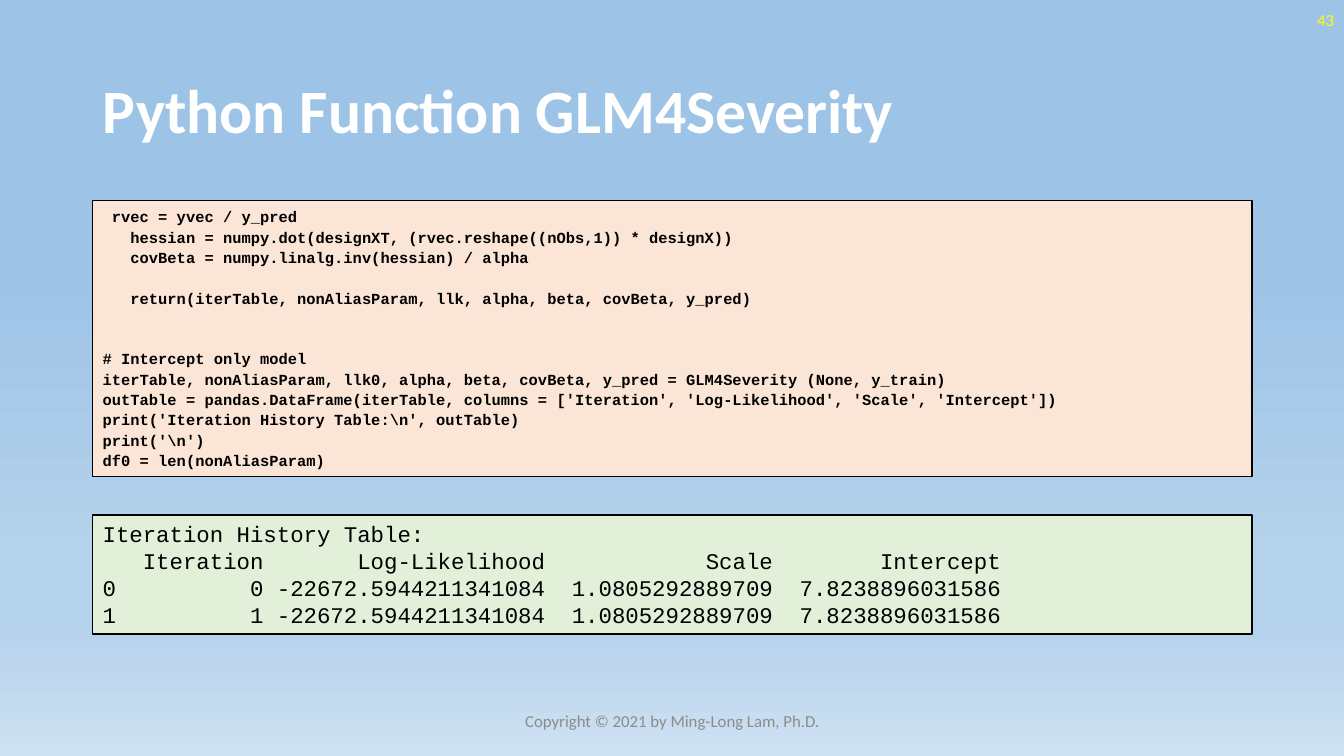
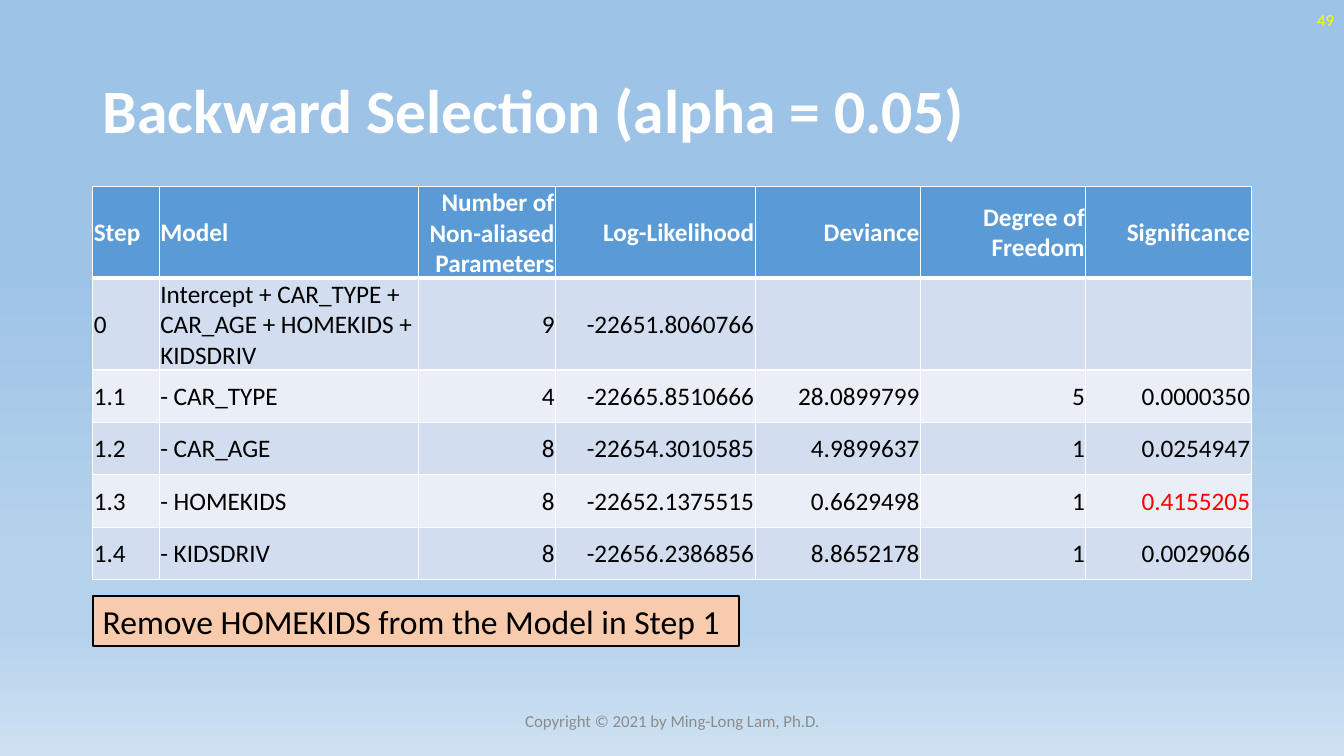
from copy import deepcopy
from dataclasses import dataclass

from lxml.etree import SubElement
from pptx import Presentation
from pptx.dml.color import RGBColor
from pptx.enum.shapes import MSO_SHAPE
from pptx.enum.text import MSO_ANCHOR, MSO_AUTO_SIZE, PP_ALIGN
from pptx.oxml.ns import qn
from pptx.util import Inches, Pt


# Theme: all colours, fonts and type sizes
@dataclass(frozen=True)
class Theme:
    sans: str = "Calibri"
    mono: str = "Courier New"
    white: str = "FFFFFF"
    black: str = "000000"
    red: str = "FF0000"
    yellow: str = "FFFF00"
    grey: str = "8C8C8C"
    peach: str = "FBE5D6"
    green: str = "E2F0D9"
    orange: str = "F8CBAD"
    head: str = "5B9BD5"
    bands: tuple = ("D2DEEF", "EAEFF7")
    sky: tuple = ((35, "9DC3E6"), (74, "B5D2EC"), (83, "B5D2EC"), (100, "CEE1F2"))
    title: float = 44
    note: float = 24
    cell: float = 18
    print: float = 16
    small: float = 12
    code: float = 11


T = Theme()
LEFT, WIDE = 0.92, 11.5
CODE_STEP = 14.5  # points from one code line to the next

CODE = r"""
 rvec = yvec / y_pred
   hessian = numpy.dot(designXT, (rvec.reshape((nObs,1)) * designX))
   covBeta = numpy.linalg.inv(hessian) / alpha

   return(iterTable, nonAliasParam, llk, alpha, beta, covBeta, y_pred)


# Intercept only model
iterTable, nonAliasParam, llk0, alpha, beta, covBeta, y_pred = GLM4Severity (None, y_train)
outTable = pandas.DataFrame(iterTable, columns = ['Iteration', 'Log-Likelihood', 'Scale', 'Intercept'])
print('Iteration History Table:\n', outTable)
print('\n')
df0 = len(nonAliasParam)
""".strip("\n")

OUTPUT = """
Iteration History Table:
   Iteration       Log-Likelihood            Scale        Intercept
0          0 -22672.5944211341084  1.0805292889709  7.8238896031586
1          1 -22672.5944211341084  1.0805292889709  7.8238896031586
""".strip("\n")

COLS = (0.66, 2.57, 1.36, 1.98, 1.64, 1.64, 1.64)
ROWS = (0.91, 0.85, 0.52, 0.52, 0.52, 0.52)
STEPS = (
    ("Step", "Model", "Number of Non-aliased Parameters", "Log-Likelihood",
     "Deviance", "Degree of Freedom", "Significance"),
    ("0", "Intercept + CAR_TYPE + CAR_AGE + HOMEKIDS + KIDSDRIV", "9",
     "-22651.8060766", "", "", ""),
    ("1.1", "- CAR_TYPE", "4", "-22665.8510666", "28.0899799", "5", "0.0000350"),
    ("1.2", "- CAR_AGE", "8", "-22654.3010585", "4.9899637", "1", "0.0254947"),
    ("1.3", "- HOMEKIDS", "8", "-22652.1375515", "0.6629498", "1", "0.4155205"),
    ("1.4", "- KIDSDRIV", "8", "-22656.2386856", "8.8652178", "1", "0.0029066"),
)
WORST = (4, 6)  # row and column of the least significant term


def rgb(code):
    return RGBColor.from_string(code)


def write(para, text, size, color, font=T.sans, bold=False, align=PP_ALIGN.LEFT):
    para.alignment = align
    run = para.add_run()
    run.text = text
    run.font.name, run.font.size, run.font.bold = font, Pt(size), bold
    run.font.color.rgb = rgb(color)


def place(shape, box):
    shape.left, shape.top, shape.width, shape.height = map(Inches, box)


# Shared parts: sky, title, page number, footer
def paint_sky(master):
    fill = master.background.fill
    fill.gradient()
    fill.gradient_angle = 270
    stops = next(master.element.cSld.iter(qn("a:gsLst")))
    model = deepcopy(stops[0])
    for old in list(stops):
        stops.remove(old)
    for spot, color in T.sky:
        stop = deepcopy(model)
        stop.set("pos", str(spot * 1000))
        for child in list(stop):
            stop.remove(child)
        SubElement(stop, qn("a:srgbClr")).set("val", color)
        stops.append(stop)


def add_label(slide, box, text, color, align):
    frame = slide.shapes.add_textbox(*map(Inches, box)).text_frame
    frame.word_wrap = True
    frame.vertical_anchor = MSO_ANCHOR.MIDDLE
    write(frame.paragraphs[0], text, T.small, color, align=align)


def add_page(deck, title, number):
    slide = deck.slides.add_slide(deck.slide_layouts[5])
    head = slide.shapes.title
    place(head, (LEFT, 0.4, WIDE, 1.45))
    frame = head.text_frame
    frame.auto_size = MSO_AUTO_SIZE.NONE
    frame.vertical_anchor = MSO_ANCHOR.MIDDLE
    para = frame.paragraphs[0]
    para.line_spacing = 0.9
    write(para, title, T.title, T.white, bold=True)
    add_label(slide, (10.33, 0, 3, 0.4), number, T.yellow, PP_ALIGN.RIGHT)
    add_label(slide, (4.42, 6.95, 4.5, 0.4),
              "Copyright © 2021 by Ming-Long Lam, Ph.D.", T.grey, PP_ALIGN.CENTER)
    return slide


# Framed panel; an empty line becomes space before the next one
def add_panel(slide, box, text, fill, size, font=T.sans, bold=False,
              line=1, space=1.0):
    panel = slide.shapes.add_shape(MSO_SHAPE.RECTANGLE, *map(Inches, box))
    panel.shadow.inherit = False
    panel.fill.solid()
    panel.fill.fore_color.rgb = rgb(fill)
    panel.line.color.rgb = rgb(T.black)
    panel.line.width = Pt(line)
    frame = panel.text_frame
    frame.word_wrap = True
    frame.vertical_anchor = MSO_ANCHOR.TOP
    para, gap = frame.paragraphs[0], 0
    for row, words in enumerate(text.split("\n")):
        if not words:
            gap += CODE_STEP
            continue
        if row:
            para = frame.add_paragraph()
        para.line_spacing = space
        if gap:
            para.space_before = Pt(gap)
        write(para, words, size, T.black, font, bold)
        gap = 0


# Table of selection steps
def add_edges(cell, base):
    props = cell._tc.get_or_add_tcPr()
    for spot, side in enumerate("LRTB"):
        edge = SubElement(props, qn(f"a:ln{side}"))
        edge.set("w", str(Pt(base if side == "B" else 1)))
        fill = SubElement(edge, qn("a:solidFill"))
        SubElement(fill, qn("a:srgbClr")).set("val", T.white)
        props.insert(spot, edge)


def fill_cell(cell, text, row, col):
    head = row == 0
    cell.margin_left = cell.margin_top = cell.margin_right = Inches(0.01)
    cell.margin_bottom = 0
    cell.vertical_anchor = MSO_ANCHOR.MIDDLE
    cell.fill.solid()
    cell.fill.fore_color.rgb = rgb(T.head if head else T.bands[(row - 1) % 2])
    add_edges(cell, 3 if head else 1)
    if text:
        color = T.white if head else T.red if (row, col) == WORST else T.black
        align = PP_ALIGN.LEFT if col < 2 else PP_ALIGN.RIGHT
        write(cell.text_frame.paragraphs[0], text, T.cell, color,
              bold=head, align=align)


def add_steps(slide, left, top):
    box = (left, top, sum(COLS), sum(ROWS))
    grid = slide.shapes.add_table(len(ROWS), len(COLS), *map(Inches, box)).table
    for col, width in zip(grid.columns, COLS):
        col.width = Inches(width)
    for row, height in zip(grid.rows, ROWS):
        row.height = Inches(height)
    for row, texts in enumerate(STEPS):
        for col, text in enumerate(texts):
            fill_cell(grid.cell(row, col), text, row, col)


# Slides
def code_slide(deck):
    slide = add_page(deck, "Python Function GLM4Severity", "43")
    add_panel(slide, (LEFT, 1.99, WIDE, 2.74), CODE, T.peach, T.code,
              T.mono, bold=True, space=1.1)
    add_panel(slide, (LEFT, 5.11, WIDE, 1.18), OUTPUT, T.green, T.print, T.mono)


def table_slide(deck):
    slide = add_page(deck, "Backward Selection (alpha = 0.05)", "49")
    add_steps(slide, LEFT, 1.85)
    add_panel(slide, (LEFT, 5.91, 6.41, 0.5),
              "Remove HOMEKIDS from the Model in Step 1", T.orange, T.note, line=1.5)


def main():
    deck = Presentation()
    deck.slide_width, deck.slide_height = Inches(13.33), Inches(7.5)
    paint_sky(deck.slide_master)
    code_slide(deck)
    table_slide(deck)
    deck.save("out.pptx")


if __name__ == "__main__":
    main()
